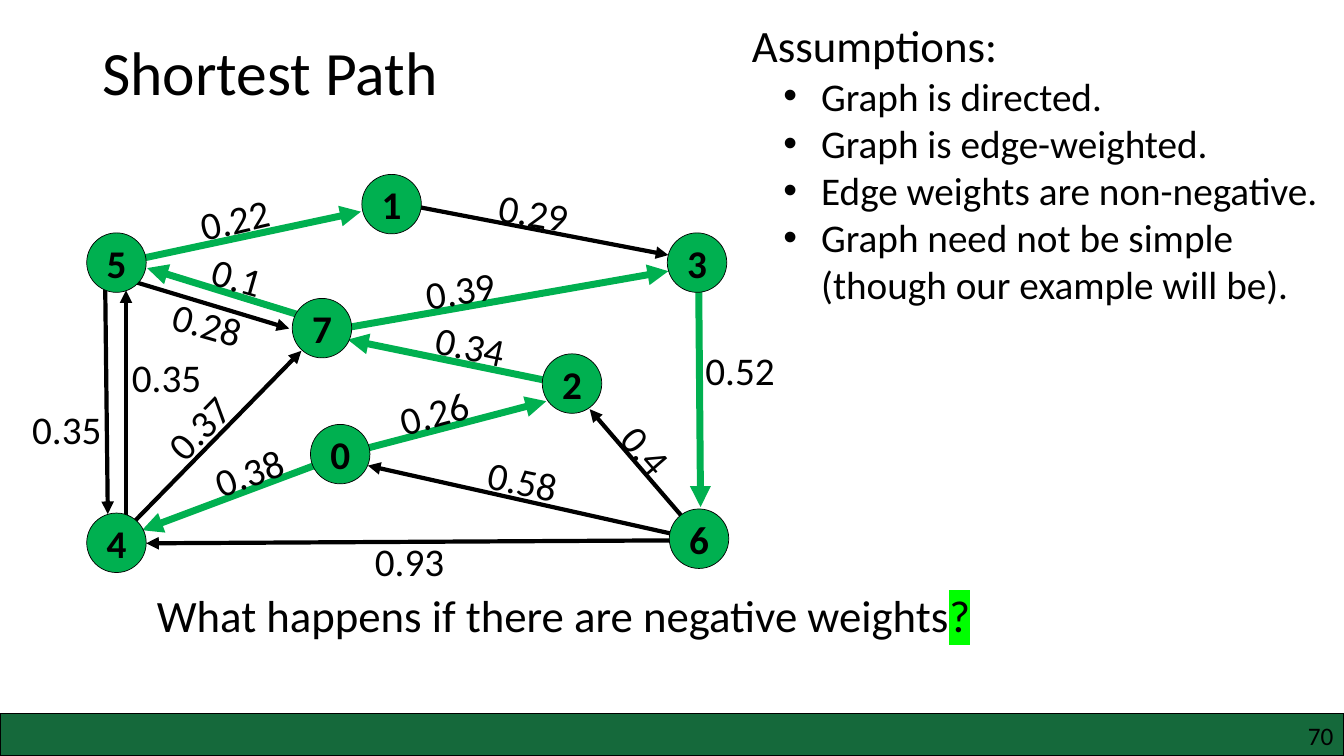
"""Build the shortest path slide with its weighted directed graph."""
from dataclasses import dataclass

from pptx import Presentation
from pptx.dml.color import RGBColor
from pptx.enum.shapes import MSO_CONNECTOR, MSO_SHAPE
from pptx.enum.text import MSO_ANCHOR, PP_ALIGN
from pptx.oxml.ns import qn
from pptx.oxml.xmlchemy import OxmlElement
from pptx.util import Pt

STRAIGHT = MSO_CONNECTOR.STRAIGHT
ELLIPSE = MSO_SHAPE.OVAL
RECTANGLE = MSO_SHAPE.RECTANGLE
MIDDLE = MSO_ANCHOR.MIDDLE
CENTER = PP_ALIGN.CENTER
RIGHT = PP_ALIGN.RIGHT

BLACK = "000000"
GREEN = "00B050"
FOOTER_GREEN = "15693B"
HIGHLIGHT = "00FF00"
NODE_SIZE = 42.5
LABEL_HEIGHT = 41.8
NO_INSETS = dict.fromkeys(
    ("margin_left", "margin_top", "margin_right", "margin_bottom"), 0)
BODY = {"name": "Calibri", "size": Pt(28)}
LARGE = BODY | {"size": Pt(32)}
TITLE = BODY | {"size": Pt(44)}
NODE = BODY | {"bold": True}
PAGE = BODY | {"size": Pt(18)}


@dataclass
class Node:
    """A graph vertex with its centre."""
    name: str
    x: float
    y: float


@dataclass
class Edge:
    """A directed edge with its end points and the centre of its weight."""
    start: tuple[float, float]
    end: tuple[float, float]
    weight: str
    label: tuple[float, float]
    angle: float = 0
    in_tree: bool = False
    label_width: float = 80.6


NODES = [
    Node("0", 243, 324.4), Node("1", 279.7, 145.8),
    Node("2", 408.6, 274), Node("3", 497.9, 187.6),
    Node("4", 83.2, 387.7), Node("5", 83.2, 187.6),
    Node("6", 499.3, 384.8), Node("7", 230, 234.4),
]
EDGES = [
    Edge((501.8, 385.9), (421.2, 292.3), "0.4", (465.5, 326.2), 49,
         label_width=61.2),
    Edge((497.5, 385.2), (262.8, 332.6), "0.58", (381.6, 345.6), 12),
    Edge((499, 385.9), (104.4, 388.1), "0.93", (301, 401)),
    Edge((244.8, 324.7), (390.2, 286.6), "0.26", (318.2, 293), 345, True),
    Edge((245.5, 324.7), (101.5, 378.7), "0.38", (185.8, 334.8), 340, True),
    Edge((409.7, 275.8), (248.4, 242.6), "0.34", (344.2, 249.1), 12, True),
    Edge((81.4, 387.4), (215.3, 250.6), "0.37", (148, 299.5), 314),
    Edge((235.4, 236.2), (477.4, 193.7), "0.39", (337, 205.9), 351, True),
    Edge((499, 190.8), (500.4, 362.2), "0.52", (537.1, 265), 0, True),
    Edge((229, 229.7), (105.1, 191.5), "0.1", (184.3, 202.3), 16, True),
    Edge((77.8, 195.8), (206.6, 234.7), "0.28", (156.2, 234), 16),
    Edge((74.9, 182.2), (77, 367.2), "0.35", (56.2, 306.7)),
    Edge((90, 380.9), (90, 207.4), "0.35", (127.4, 270)),
    Edge((85.7, 187.9), (257.8, 151.2), "0.22", (175.7, 154.8), 347, True),
    Edge((282.2, 144.7), (477.4, 182.2), "0.29", (389.5, 153.4), 10),
]
ASSUMPTIONS = [
    "Graph is directed.",
    "Graph is edge-weighted.",
    "Edge weights are non-negative.",
    "Graph need not be simple (though our example will be).",
]


def color(value: str) -> RGBColor:
    """Turn a hex string into a colour."""
    return RGBColor.from_string(value)


def assign(obj, values: dict) -> None:
    """Set every attribute in a format dict."""
    for key, value in values.items():
        setattr(obj, key, value)


def add_run(p, text: str, fmt: dict):
    """Add a formatted black run."""
    r = p.add_run()
    r.text = text
    assign(r.font, fmt)
    r.font.color.rgb = color(BLACK)
    return r


def add_text(slide, box: tuple, text: str, fmt: dict):
    """Add a wrapping text box with one paragraph."""
    sp = slide.shapes.add_textbox(*map(Pt, box))
    sp.text_frame.word_wrap = True
    add_run(sp.text_frame.paragraphs[0], text, fmt)
    return sp


def add_shape(slide, kind, box: tuple, fill: str, width: float):
    """Add a filled shape with a black outline."""
    sp = slide.shapes.add_shape(kind, *map(Pt, box))
    sp.shadow.inherit = False
    sp.fill.solid()
    sp.fill.fore_color.rgb = color(fill)
    sp.line.color.rgb = color(BLACK)
    sp.line.width = Pt(width)
    return sp


def add_arrow(slide, edge: Edge) -> None:
    """Draw the arrow of an edge."""
    sp = slide.shapes.add_connector(STRAIGHT, *map(Pt, edge.start + edge.end))
    sp.line.color.rgb = color(GREEN if edge.in_tree else BLACK)
    sp.line.width = Pt(5 if edge.in_tree else 3)
    tail = OxmlElement("a:tailEnd")
    tail.set("type", "triangle")
    spPr = sp._element.spPr
    spPr.find(qn("a:ln")).append(tail)
    spPr.append(OxmlElement("a:effectLst"))


def add_node(slide, node: Node) -> None:
    """Draw a vertex with its name."""
    half = NODE_SIZE / 2
    box = (node.x - half, node.y - half, NODE_SIZE, NODE_SIZE)
    sp = add_shape(slide, ELLIPSE, box, GREEN, 0.5)
    tf = sp.text_frame
    assign(tf, NO_INSETS | {"vertical_anchor": MIDDLE, "word_wrap": False})
    p = tf.paragraphs[0]
    p.alignment = CENTER
    add_run(p, node.name, NODE)


def add_weight(slide, edge: Edge) -> None:
    """Write the weight of an edge along it."""
    x, y = edge.label
    box = (x - edge.label_width / 2, y - LABEL_HEIGHT / 2,
           edge.label_width, LABEL_HEIGHT)
    add_text(slide, box, edge.weight, BODY).rotation = edge.angle


def add_bullet(tf, text: str) -> None:
    """Add a bulleted paragraph."""
    p = tf.add_paragraph()
    pPr = p._p.get_or_add_pPr()
    pPr.set("marL", str(Pt(49.5)))
    pPr.set("indent", str(Pt(-27)))
    for tag, key, value in (("a:buFont", "typeface", "Arial"),
                            ("a:buChar", "char", "•")):
        bullet = OxmlElement(tag)
        bullet.set(key, value)
        pPr.append(bullet)
    add_run(p, text, BODY)


def highlight(r, value: str) -> None:
    """Put a background colour behind a run."""
    mark = OxmlElement("a:highlight")
    rgb = OxmlElement("a:srgbClr")
    rgb.set("val", value)
    mark.append(rgb)
    r._r.get_or_add_rPr().find(qn("a:solidFill")).addnext(mark)


def main() -> None:
    """Build and save the slide."""
    prs = Presentation()
    prs.slide_width, prs.slide_height = Pt(960), Pt(540)
    slide = prs.slides.add_slide(prs.slide_layouts[6])

    sp = add_text(slide, (66, 1.4, 828, 104.4), "Shortest Path", TITLE)
    sp.text_frame.vertical_anchor = MIDDLE
    sp.text_frame.paragraphs[0].line_spacing = 0.9

    for draw, items in ((add_arrow, EDGES), (add_node, NODES),
                        (add_weight, EDGES)):
        for item in items:
            draw(slide, item)

    sp = add_text(slide, (530, 9.4, 433, 216), "Assumptions:", LARGE)
    for text in ASSUMPTIONS:
        add_bullet(sp.text_frame, text)

    sp = add_text(slide, (105, 416.2, 828, 46),
                  "What happens if there are negative weights", LARGE)
    highlight(add_run(sp.text_frame.paragraphs[0], "?", LARGE), HIGHLIGHT)

    add_shape(slide, RECTANGLE, (0, 509.8, 960, 30.2), FOOTER_GREEN, 1)
    sp = add_text(slide, (919.4, 514.8, 33.1, 21.6), "70", PAGE)
    assign(sp.text_frame, NO_INSETS)
    sp.text_frame.paragraphs[0].alignment = RIGHT
    prs.save("out.pptx")


if __name__ == "__main__":
    main()
